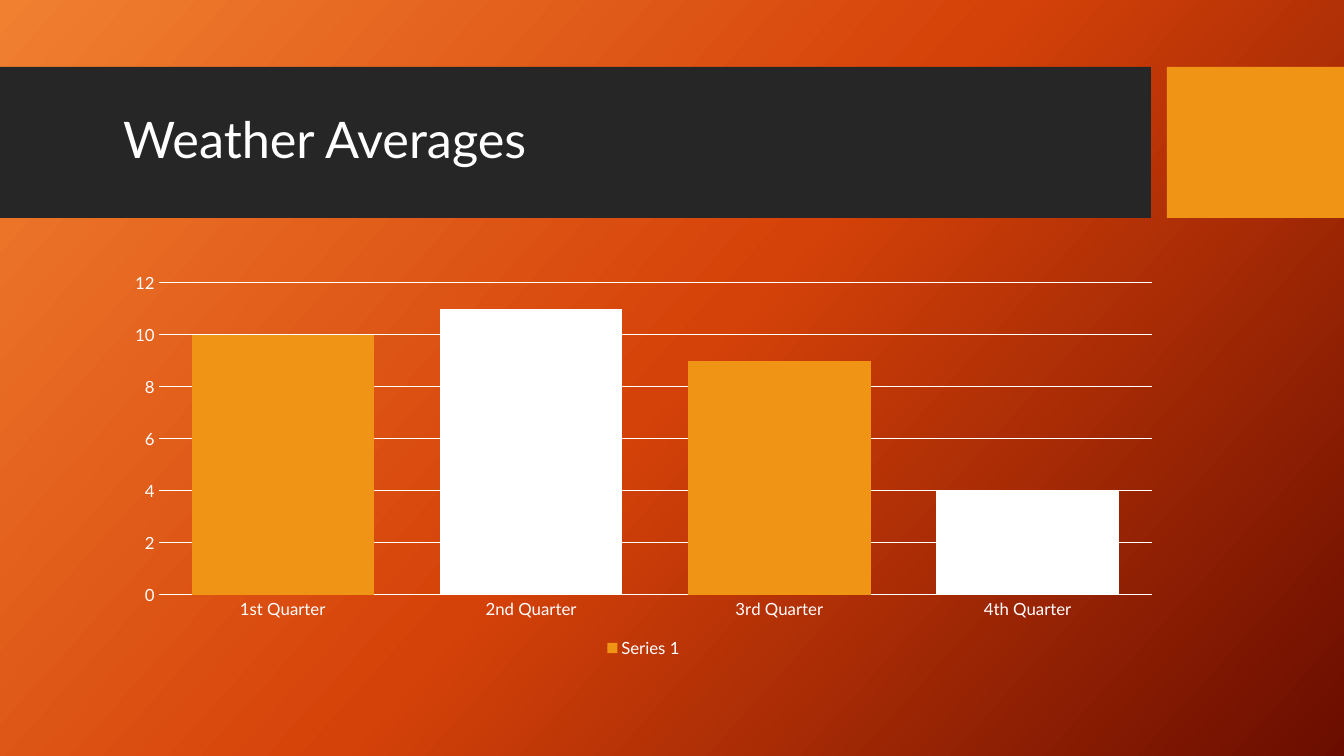
from copy import deepcopy

from pptx import Presentation
from pptx.chart.data import CategoryChartData
from pptx.dml.color import RGBColor
from pptx.enum.chart import XL_CHART_TYPE as ChartType
from pptx.enum.chart import XL_LEGEND_POSITION as LegendPosition
from pptx.enum.chart import XL_TICK_MARK as TickMark
from pptx.enum.shapes import MSO_SHAPE as Shape
from pptx.enum.text import MSO_ANCHOR as Anchor
from pptx.enum.text import PP_ALIGN as Align
from pptx.oxml.ns import qn
from pptx.util import Pt

PX = 914400 / 100.8
SLIDE_SIZE = (1344, 756)
FONT = "Lato"
WHITE, AMBER, CHARCOAL = "FFFFFF", "F09415", "262626"

HEADING = "Weather Averages"
HEADING_BOX = (113, 83, 1025, 119)
BANDS = [((0, 67, 1151, 151), CHARCOAL), ((1167, 67, 177, 151), AMBER)]
BACKDROP = [(0, "F18031"), (0.5, "D54209"), (1, "6A0D00")]
BACKDROP_ANGLE = 42

CHART_BOX = (114, 265, 1059, 397)
SERIES = "Series 1"
QUARTERS = [("1st Quarter", 10), ("2nd Quarter", 11), ("3rd Quarter", 9), ("4th Quarter", 4)]
BAR_COLORS = (AMBER, WHITE)
VALUE_SCALE = {"minimum_scale": 0, "maximum_scale": 12, "major_unit": 2}


def px(lengths):
    return [round(length * PX) for length in lengths]


def rgb(color):
    return RGBColor.from_string(color)


def apply(target, formats):
    for attribute, setting in formats.items():
        setattr(target, attribute, setting)


def paint(fill, color):
    fill.solid()
    fill.fore_color.rgb = rgb(color)


def style_font(font, size, color=WHITE):
    apply(font, {"name": FONT, "size": Pt(size), "bold": False})
    font.color.rgb = rgb(color)


def style_line(line, color=WHITE):
    line.width = Pt(0.75)
    paint(line.fill, color)


def add_backdrop(slide):
    fill = slide.background.fill
    fill.gradient()
    fill.gradient_angle = 360 - BACKDROP_ANGLE
    stops = slide.element.find(".//" + qn("a:gsLst"))
    stops.append(deepcopy(stops[-1]))
    for stop, (position, color) in zip(fill.gradient_stops, BACKDROP):
        stop.color.rgb = rgb(color)
        stop.position = position


def add_heading(slide):
    for box, color in BANDS:
        band = slide.shapes.add_shape(Shape.RECTANGLE, *px(box))
        band.shadow.inherit = False
        paint(band.fill, color)
        band.line.fill.background()
    heading = slide.shapes.title
    slide.shapes.element.append(heading.element)
    apply(heading, dict(zip(("left", "top", "width", "height"), px(HEADING_BOX))))
    frame = heading.text_frame
    frame.text = HEADING
    apply(frame, {"vertical_anchor": Anchor.MIDDLE, "word_wrap": True})
    line = frame.paragraphs[0]
    apply(line, {"alignment": Align.LEFT, "line_spacing": 0.9})
    style_font(line.runs[0].font, 36)


def add_weather_chart(slide):
    weather = CategoryChartData()
    weather.categories = [quarter for quarter, _ in QUARTERS]
    weather.add_series(SERIES, [average for _, average in QUARTERS])
    chart = slide.shapes.add_chart(
        ChartType.COLUMN_CLUSTERED, *px(CHART_BOX), weather).chart
    apply(chart, {"has_title": False, "has_legend": True})
    style_font(chart.font, 10)
    apply(chart.legend, {"position": LegendPosition.BOTTOM, "include_in_layout": False})
    style_font(chart.legend.font, 12)

    for axis in (chart.category_axis, chart.value_axis):
        apply(axis, {"major_tick_mark": TickMark.NONE, "minor_tick_mark": TickMark.NONE})
        style_font(axis.tick_labels.font, 12)
    style_line(chart.category_axis.format.line)
    apply(chart.value_axis, VALUE_SCALE)
    chart.value_axis.format.line.fill.background()
    style_line(chart.value_axis.major_gridlines.format.line)

    plot = chart.plots[0]
    apply(plot, {"gap_width": 36, "vary_by_categories": False})
    bars = plot.series[0]
    bars.invert_if_negative = False
    paint(bars.format.fill, BAR_COLORS[0])
    for index in range(1, len(QUARTERS), 2):
        paint(bars.points[index].format.fill, BAR_COLORS[1])


def main():
    deck = Presentation()
    deck.slide_width, deck.slide_height = px(SLIDE_SIZE)
    slide = deck.slides.add_slide(deck.slide_layouts[5])
    add_backdrop(slide)
    add_heading(slide)
    add_weather_chart(slide)
    deck.save("out.pptx")


if __name__ == "__main__":
    main()
